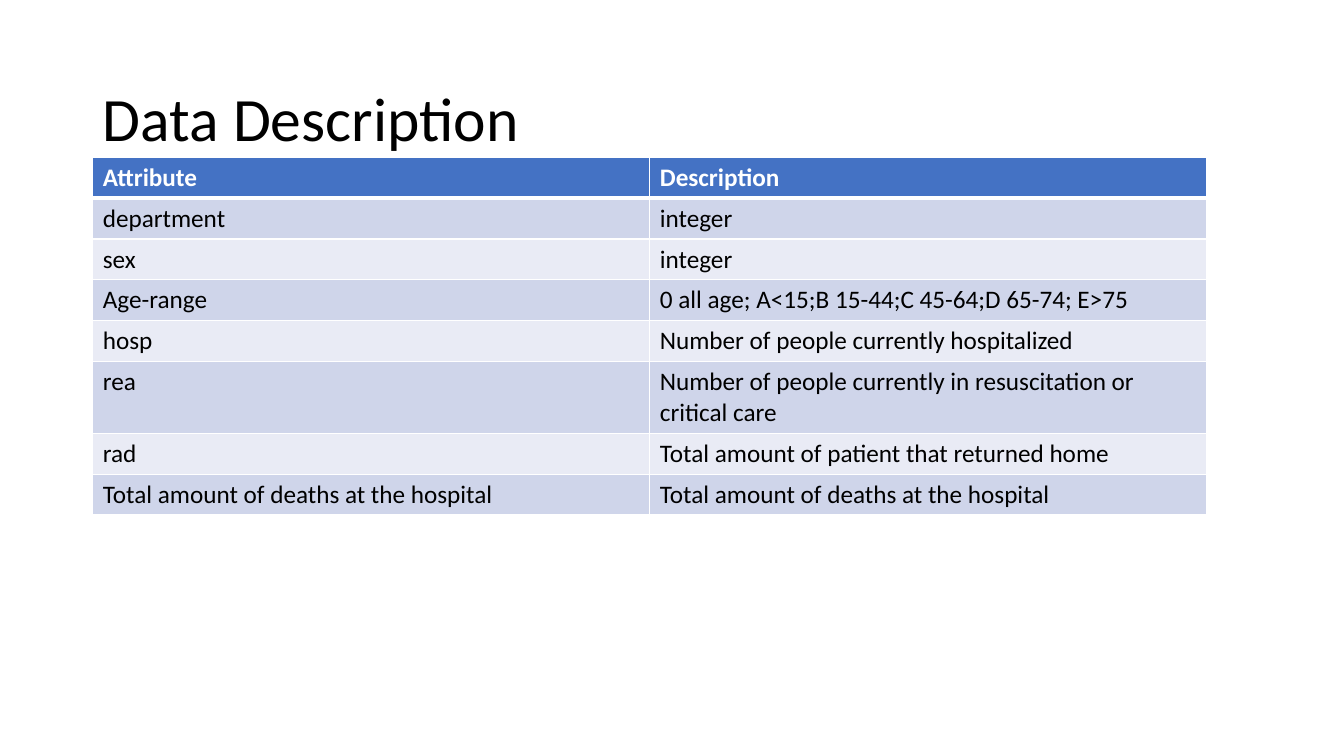
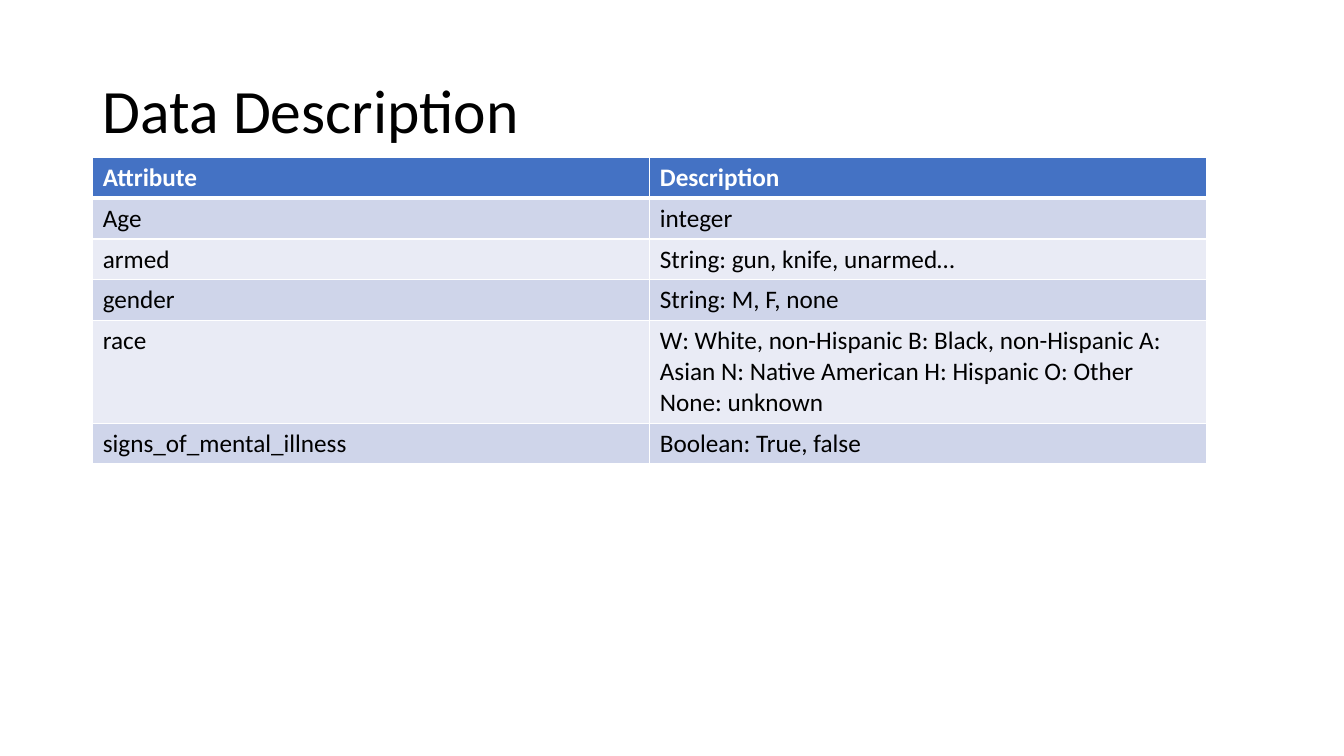
from lxml.etree import SubElement
from pptx import Presentation
from pptx.dml.color import RGBColor
from pptx.enum.text import MSO_ANCHOR, MSO_AUTO_SIZE, PP_ALIGN
from pptx.oxml.ns import qn
from pptx.util import Inches, Pt

FONT = "Calibri"
BLACK, WHITE = "000000", "FFFFFF"
HEADER_FILL = "4472C4"
BAND_FILLS = ("CFD5EA", "E9EBF5")
HEADINGS = ("Attribute", "Description")
TITLE = "Data Description"
ROW_HEIGHT = 0.4
TABLE_BOX = (0.92, 1.56, 11.05)

HOSPITAL_ATTRIBUTES = [
    ("department", "integer"),
    ("sex", "integer"),
    ("Age-range", "0 all age; A<15;B 15-44;C 45-64;D 65-74; E>75"),
    ("hosp", "Number of people currently hospitalized"),
    ("rea", "Number of people currently in resuscitation or critical care"),
    ("rad", "Total amount of patient that returned home"),
    ("Total amount of deaths at the hospital", "Total amount of deaths at the hospital"),
]
INCIDENT_ATTRIBUTES = [
    ("Age", "integer"),
    ("armed", "String: gun, knife, unarmed…"),
    ("gender", "String: M, F, none"),
    ("race", "W: White, non-Hispanic B: Black, non-Hispanic A: Asian "
             "N: Native American H: Hispanic O: Other None: unknown"),
    ("signs_of_mental_illness", "Boolean: True, false"),
]


def color(hex_code):
    return RGBColor.from_string(hex_code)


def format_text(paragraph, size, hex_code, bold=False):
    paragraph.alignment = PP_ALIGN.LEFT
    for run in paragraph.runs:
        run.font.name = FONT
        run.font.size = Pt(size)
        run.font.bold = bold
        run.font.color.rgb = color(hex_code)


def add_title(slide, box):
    title = slide.shapes.title
    title.left, title.top, title.width, title.height = map(Inches, box)
    frame = title.text_frame
    frame.text = TITLE
    frame.word_wrap = True
    frame.auto_size = MSO_AUTO_SIZE.NONE
    frame.vertical_anchor = MSO_ANCHOR.MIDDLE
    heading = frame.paragraphs[0]
    heading.line_spacing = 0.9
    format_text(heading, 44, BLACK)


def add_borders(cell, top, bottom):
    properties = cell._tc.get_or_add_tcPr()
    for side, width in (("L", 1), ("R", 1), ("T", top), ("B", bottom)):
        line = SubElement(properties, qn(f"a:ln{side}"), w=str(Pt(width)))
        fill = SubElement(line, qn("a:solidFill"))
        SubElement(fill, qn("a:srgbClr"), val=WHITE)


def format_cell(cell, text, row):
    is_header = row == 0
    cell.text = text
    format_text(cell.text_frame.paragraphs[0], 18,
                WHITE if is_header else BLACK, is_header)
    add_borders(cell, top=3 if row == 1 else 1, bottom=3 if is_header else 1)
    cell.fill.solid()
    cell.fill.fore_color.rgb = color(
        HEADER_FILL if is_header else BAND_FILLS[(row - 1) % 2])


def add_attribute_table(slide, box, attributes):
    left, top, width = box
    rows = [HEADINGS, *attributes]
    table = slide.shapes.add_table(
        len(rows), len(HEADINGS), Inches(left), Inches(top),
        Inches(width), Inches(ROW_HEIGHT * len(rows))).table
    for row, texts in enumerate(rows):
        for column, text in enumerate(texts):
            format_cell(table.cell(row, column), text, row)


def add_description_slide(deck, title_top, attributes):
    slide = deck.slides.add_slide(deck.slide_layouts.get_by_name("Title Only"))
    add_title(slide, (0.92, title_top, 11.5, 1.45))
    add_attribute_table(slide, TABLE_BOX, attributes)


def main():
    deck = Presentation()
    deck.slide_width, deck.slide_height = Inches(13.33), Inches(7.5)
    add_description_slide(deck, 0.48, HOSPITAL_ATTRIBUTES)
    add_description_slide(deck, 0.4, INCIDENT_ATTRIBUTES)
    deck.save("out.pptx")


if __name__ == "__main__":
    main()
